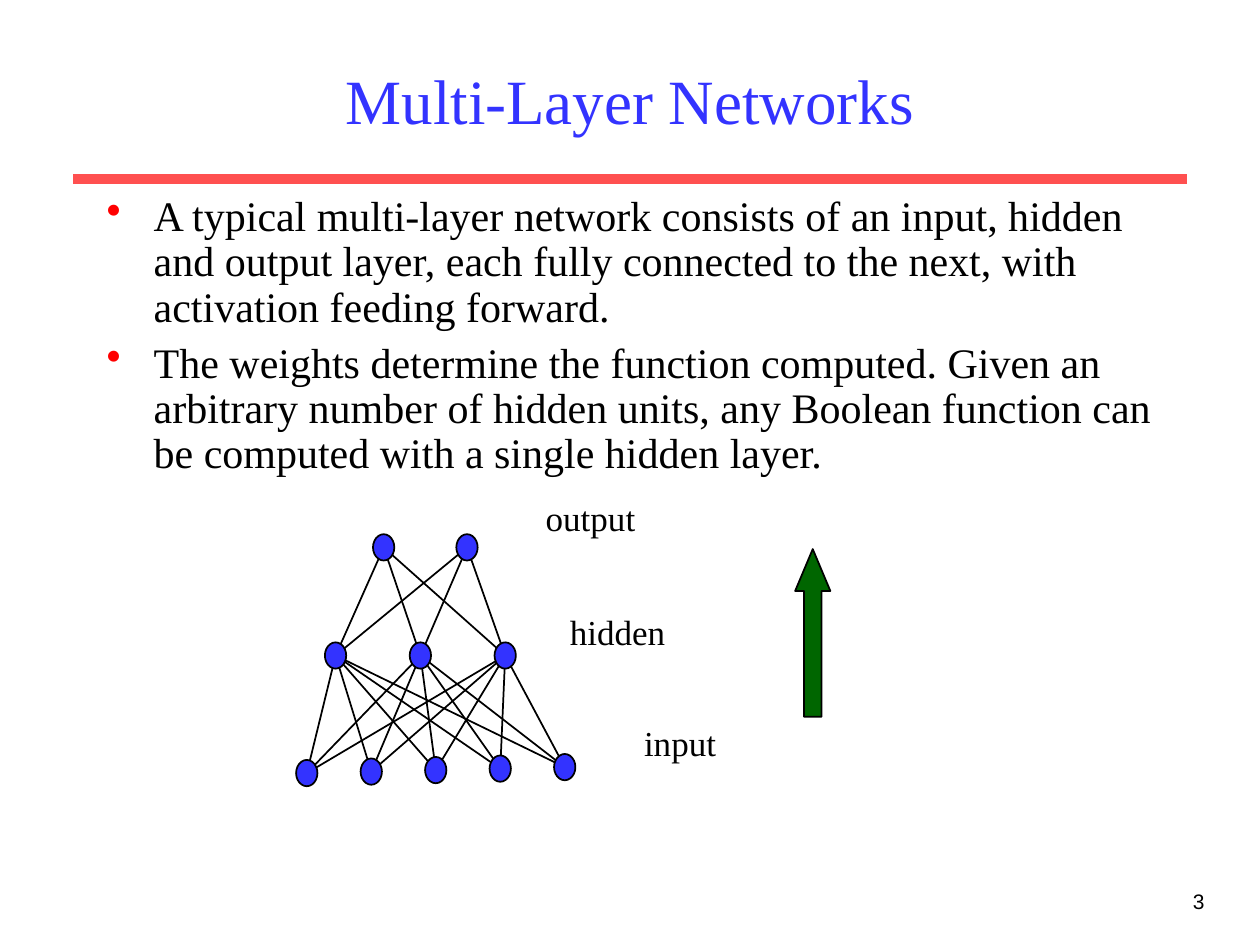
from itertools import product

from lxml.etree import SubElement
from pptx import Presentation
from pptx.dml.color import RGBColor
from pptx.enum.shapes import MSO_CONNECTOR, MSO_SHAPE
from pptx.enum.text import MSO_ANCHOR, PP_ALIGN
from pptx.oxml.ns import qn
from pptx.util import Cm, Pt

SERIF = "Times New Roman"
BLACK = "000000"
BLUE = "3333FF"
NODE_WIDTH, NODE_HEIGHT = 0.43, 0.53

# Layers from output to input: node count, left, top, step across, step down,
# then the label with its left, top and width (cm, relative to the network)
LAYERS = [
    (2, 1.55, 0.89, 1.68, 0, "output", 4.78, 0, 2.31),
    (3, 0.58, 3.07, 1.71, 0, "hidden", 5.26, 2.31, 2.44),
    (5, 0, 5.44, 1.30, -0.03, "input", 6.76, 4.55, 1.96),
]

BULLETS = [
    "A typical multi-layer network consists of an input, hidden and output layer, "
    "each fully connected to the next, with activation feeding forward.",
    "The weights determine the function computed. Given an arbitrary number of hidden "
    "units, any Boolean function can be computed with a single hidden layer.",
]


def color(value):
    return RGBColor.from_string(value)


def add_span(para, text, size, ink=BLACK, font=SERIF):
    span = para.add_run()
    span.text = text
    span.font.name = font
    span.font.size = Pt(size)
    span.font.color.rgb = color(ink)


def add_box(shapes, left, top, width, height, wrap=True):
    box = shapes.add_textbox(Cm(left), Cm(top), Cm(width), Cm(height))
    box.text_frame.word_wrap = wrap
    return box.text_frame


def add_line(shapes, start, end, ink=BLACK, weight=1):
    line = shapes.add_connector(
        MSO_CONNECTOR.STRAIGHT, *(Cm(value) for value in (*start, *end))
    )
    line.line.color.rgb = color(ink)
    line.line.width = Pt(weight)
    SubElement(line._element.spPr, qn("a:effectLst"))


def add_solid(shapes, kind, left, top, width, height, fill):
    solid = shapes.add_shape(kind, Cm(left), Cm(top), Cm(width), Cm(height))
    solid.shadow.inherit = False
    solid.fill.solid()
    solid.fill.fore_color.rgb = color(fill)
    solid.line.color.rgb = color(BLACK)
    solid.line.width = Pt(1)
    return solid


def add_title(page, left, top, width, height):
    frame = add_box(page.shapes, left, top, width, height)
    frame.vertical_anchor = MSO_ANCHOR.MIDDLE
    para = frame.paragraphs[0]
    para.alignment = PP_ALIGN.CENTER
    add_span(para, "Multi-Layer Networks", 36, BLUE)


def add_bullet(para):
    props = para._p.get_or_add_pPr()
    props.set("marL", str(Cm(0.95)))
    props.set("indent", str(Cm(-0.95)))
    bullet_color = SubElement(props, qn("a:buClr"))
    SubElement(bullet_color, qn("a:srgbClr"), val="FF0000")
    SubElement(props, qn("a:buChar"), char="•")


def add_body(page, left, top, width, height):
    frame = add_box(page.shapes, left, top, width, height)
    for index, text in enumerate(BULLETS):
        para = frame.add_paragraph() if index else frame.paragraphs[0]
        add_bullet(para)
        para.line_spacing = 0.9
        if index:
            para.space_before = Pt(6)
        add_span(para, text, 24)


def add_network(page, left, top):
    """Draw labels, then full connections between layers, then the nodes."""
    shapes = page.shapes.add_group_shape().shapes
    layers = []
    for count, x, y, across, down, label, label_x, label_y, label_width in LAYERS:
        layers.append(
            [(left + x + i * across, top + y + i * down) for i in range(count)]
        )
        frame = add_box(
            shapes, left + label_x, top + label_y, label_width, 1.12, wrap=False
        )
        para = frame.paragraphs[0]
        para.alignment = PP_ALIGN.CENTER
        add_span(para, label, 20)

    def center(node):
        return node[0] + NODE_WIDTH / 2, node[1] + NODE_HEIGHT / 2

    for upper, lower in zip(layers, layers[1:]):
        for start, end in product(upper, lower):
            add_line(shapes, center(start), center(end))
    for layer in layers:
        for node in layer:
            add_solid(shapes, MSO_SHAPE.OVAL, *node, NODE_WIDTH, NODE_HEIGHT, BLUE)


def add_flow_arrow(page, left, top, width, height):
    arrow = add_solid(
        page.shapes, MSO_SHAPE.UP_ARROW, left, top, width, height, "006600"
    )
    arrow.adjustments[0] = 0.5
    arrow.adjustments[1] = 1.19


def add_page_number(page, left, top, width, height):
    para = add_box(page.shapes, left, top, width, height).paragraphs[0]
    para.alignment = PP_ALIGN.RIGHT
    add_span(para, "3", 12, font="Arial")


def main():
    deck = Presentation()
    deck.slide_width, deck.slide_height = Cm(25.4), Cm(19.05)
    page = deck.slides.add_slide(deck.slide_layouts[6])
    add_line(page.shapes, (1.48, 3.61), (23.92, 3.61), "FF5050", 6)
    add_page_number(page, 19.25, 17.78, 5.28, 1.27)
    add_title(page, 1.9, 0.64, 21.6, 2.74)
    add_body(page, 1.9, 3.81, 21.6, 13.03)
    add_network(page, 5.97, 9.88)
    add_flow_arrow(page, 16.03, 11.07, 0.71, 3.38)
    deck.save("out.pptx")


if __name__ == "__main__":
    main()
